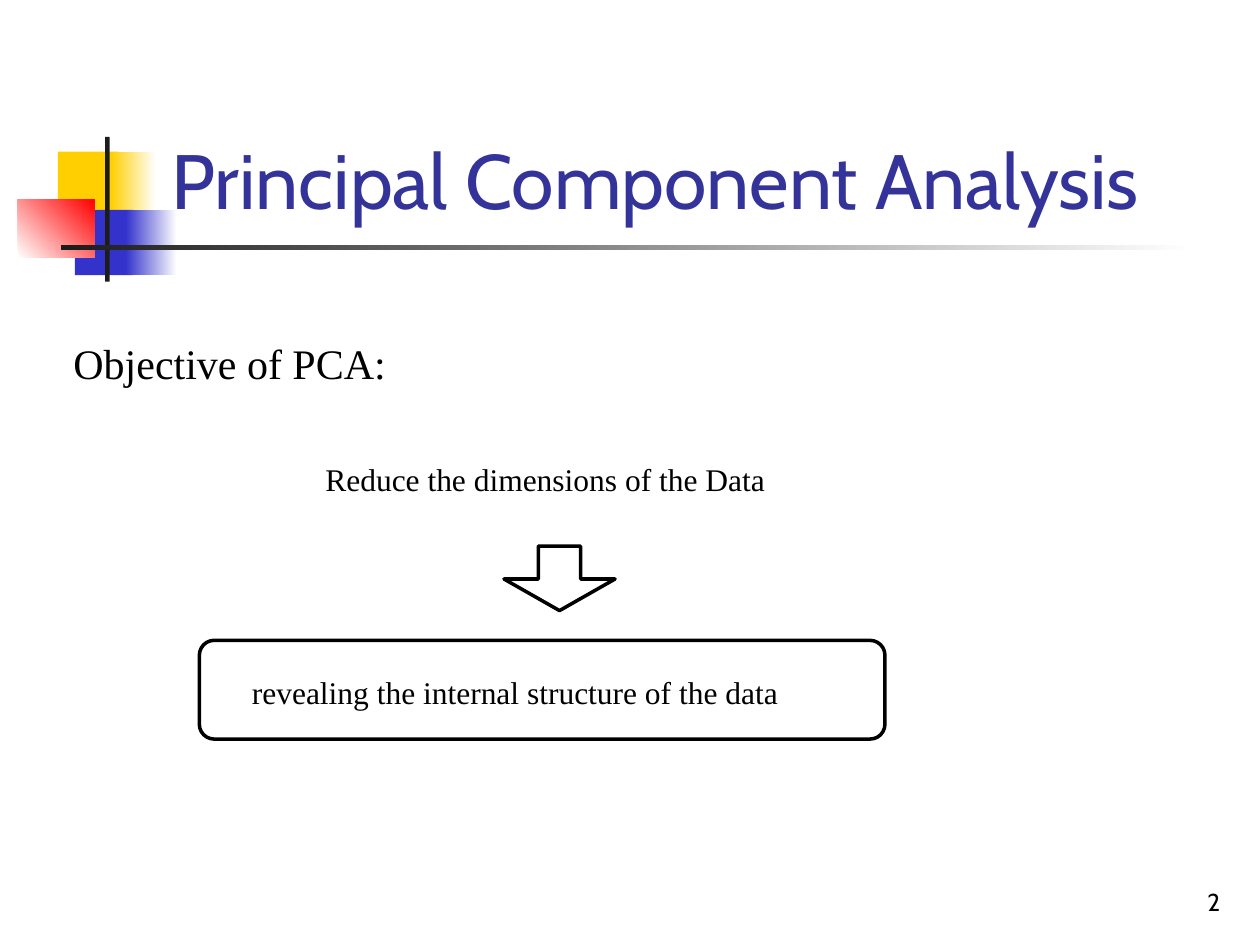
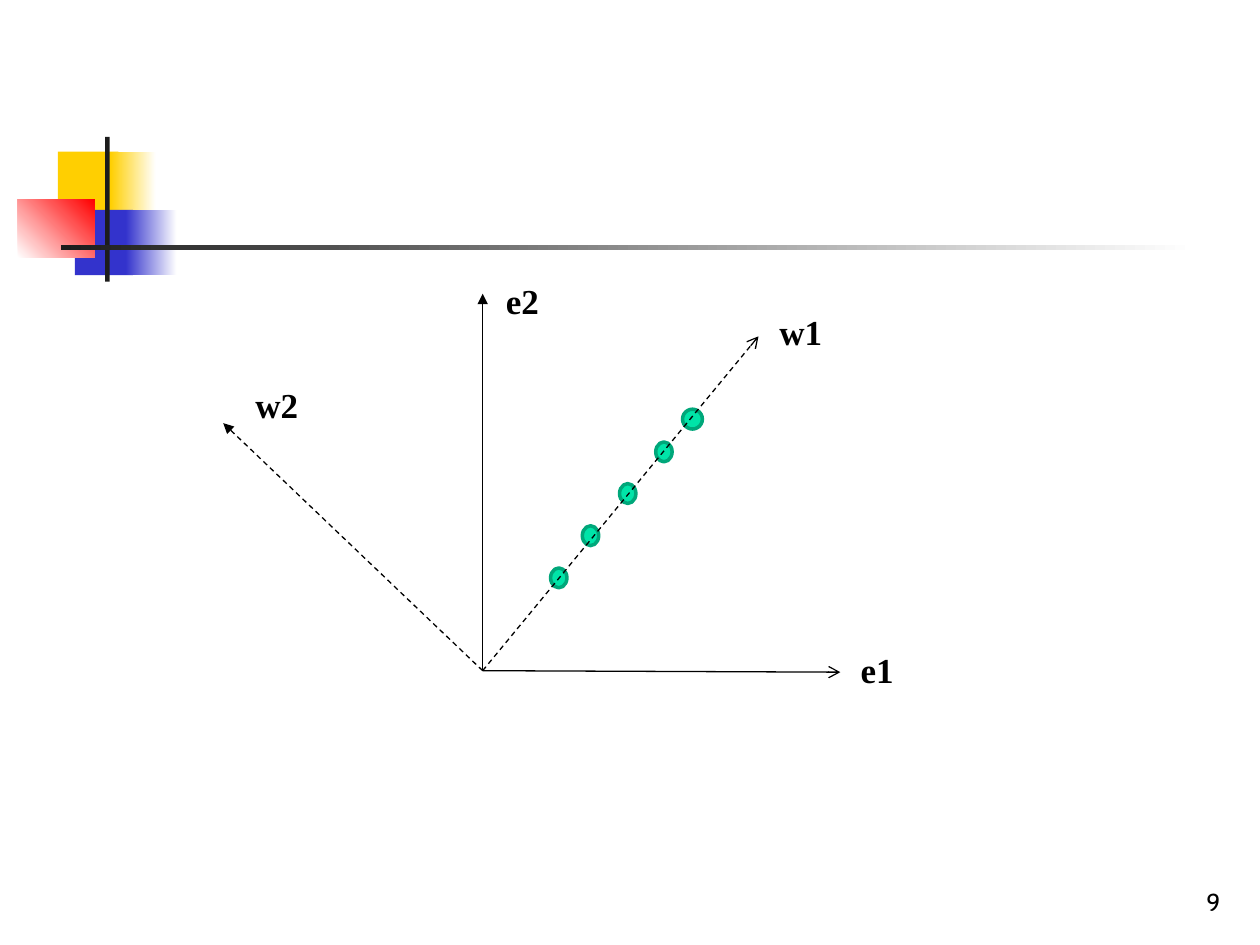
from lxml import etree
from pptx import Presentation
from pptx.dml.color import RGBColor
from pptx.enum.dml import MSO_LINE
from pptx.enum.shapes import MSO_CONNECTOR, MSO_SHAPE
from pptx.enum.text import MSO_ANCHOR, MSO_AUTO_SIZE, PP_ALIGN
from pptx.oxml.ns import qn
from pptx.util import Cm, Pt

RECT, OVAL = MSO_SHAPE.RECTANGLE, MSO_SHAPE.OVAL
ROUNDED, DOWN_ARROW = MSO_SHAPE.ROUNDED_RECTANGLE, MSO_SHAPE.DOWN_ARROW
STRAIGHT, DASH = MSO_CONNECTOR.STRAIGHT, MSO_LINE.DASH
TOP, MIDDLE, BOTTOM = MSO_ANCHOR.TOP, MSO_ANCHOR.MIDDLE, MSO_ANCHOR.BOTTOM
LEFT, RIGHT = PP_ALIGN.LEFT, PP_ALIGN.RIGHT
NO_FIT = MSO_AUTO_SIZE.NONE

# Shared colours
BLACK = RGBColor(0x00, 0x00, 0x00)
WHITE = RGBColor(0xFF, 0xFF, 0xFF)
INK = RGBColor(0x1C, 0x1C, 0x1C)
YELLOW = RGBColor(0xFF, 0xCF, 0x01)
BLUE = RGBColor(0x33, 0x33, 0xCC)
RED = RGBColor(0xFF, 0x00, 0x00)
TITLE_BLUE = RGBColor(0x33, 0x33, 0x99)
GREEN = RGBColor(0x00, 0xE4, 0xA8)
DARK_GREEN = RGBColor(0x00, 0xA7, 0x7A)

# Shared text styles
SANS, SERIF = "Cabin", "Times New Roman"
TITLE_FONT = {"name": SANS, "size": Pt(44)}
NUMBER_FONT = {"name": SANS, "size": Pt(14)}
HEADING_FONT = {"name": SERIF, "size": Pt(24)}
STATEMENT_FONT = {"name": SERIF, "size": Pt(18)}
AXIS_FONT = {"name": SERIF, "size": Pt(20), "bold": True}
NO_INSETS = dict.fromkeys(
    ("margin_left", "margin_top", "margin_right", "margin_bottom"), 0)
CENTRED_FRAME = {"vertical_anchor": MIDDLE, "word_wrap": True, **NO_INSETS}

# Corner ornament: box in cm, fill colours from start to end, angle
ORNAMENT = [
    ((1.17, 3.06, 1.22, 1.32), [YELLOW], 0),
    ((2.23, 3.06, 0.91, 1.32), [YELLOW, WHITE], 0),
    ((1.51, 4.23, 1.17, 1.32), [BLUE], 0),
    ((2.54, 4.23, 1.02, 1.32), [BLUE, WHITE], 0),
    ((0.36, 4.02, 1.55, 1.17), [WHITE, RED], 45),
    ((2.12, 2.76, 0.09, 2.92), [INK], 0),
    ((1.23, 4.94, 22.86, 0.1), [INK, WHITE], 0),
]


def set_all(target, values):
    for key, value in values.items():
        setattr(target, key, value)


def write(frame, text, font, color=BLACK, align=LEFT):
    frame.text = text
    paragraph = frame.paragraphs[0]
    paragraph.alignment = align
    set_all(paragraph.runs[0].font, font)
    paragraph.runs[0].font.color.rgb = color


def add_text(slide, box, text, font, frame_format, align=LEFT):
    frame = slide.shapes.add_textbox(*map(Cm, box)).text_frame
    set_all(frame, frame_format)
    write(frame, text, font, align=align)


def add_figure(slide, kind, box, fill=None, line=None, adjustments=()):
    """Preset shape with an optional solid fill and 2 pt outline."""
    figure = slide.shapes.add_shape(kind, *map(Cm, box))
    figure.shadow.inherit = False
    if fill is None:
        figure.fill.background()
    else:
        figure.fill.solid()
        figure.fill.fore_color.rgb = fill
    if line is None:
        figure.line.fill.background()
    else:
        figure.line.color.rgb = line
        figure.line.width = Pt(2)
    for index, value in enumerate(adjustments):
        figure.adjustments[index] = value
    return figure


def add_vector(slide, start, end, head, dashed=False):
    vector = slide.shapes.add_connector(STRAIGHT, *map(Cm, start + end))
    vector.line.color.rgb = BLACK
    vector.line.width = Pt(0.75)
    if dashed:
        vector.line.dash_style = DASH
    properties = vector.element.spPr
    etree.SubElement(properties.find(qn("a:ln")), qn("a:tailEnd"), type=head)
    etree.SubElement(properties, qn("a:effectLst"))


def decorate_master(prs, slide):
    """Draw the ornament, then move it to the master for every slide."""
    for number, (box, colors, angle) in enumerate(ORNAMENT, start=101):
        piece = add_figure(slide, RECT, box, fill=colors[0])
        if len(colors) > 1:
            piece.fill.gradient()
            piece.fill.gradient_angle = angle
            for stop, color in zip(piece.fill.gradient_stops, colors):
                stop.color.rgb = color
        piece.element.nvSpPr.cNvPr.set("id", str(number))
        prs.slide_master.shapes.element.append(piece.element)


def add_title(slide, text):
    title = slide.shapes.title
    set_all(title, {"left": Cm(3.2), "top": Cm(0.6),
                    "width": Cm(21.64), "height": Cm(4.06)})
    set_all(title.text_frame, {"vertical_anchor": BOTTOM, "auto_size": NO_FIT})
    write(title.text_frame, text, TITLE_FONT, TITLE_BLUE)


def add_page_number(slide, number):
    add_text(slide, (19.57, 17.33, 5.28, 1.27), str(number), NUMBER_FONT,
             {"vertical_anchor": BOTTOM, "word_wrap": True}, RIGHT)


def fill_objective(slide):
    add_title(slide, "Principal Component Analysis")
    add_page_number(slide, 2)
    statements = [
        ((1.48, 6.15, 13.03, 2.34), "Objective of PCA:", HEADING_FONT),
        ((5.08, 12.91, 11.73, 2.06),
         "revealing the internal structure of the data", STATEMENT_FONT),
        ((6.56, 9.09, 11.48, 1.12),
         "Reduce the dimensions of the Data", STATEMENT_FONT),
    ]
    for box, text, font in statements:
        add_text(slide, box, text, font, CENTRED_FRAME)
    add_figure(slide, ROUNDED, (4.02, 12.91, 13.82, 1.99), line=BLACK,
               adjustments=[0.15])
    add_figure(slide, DOWN_ARROW, (10.16, 11.01, 2.24, 1.3), line=BLACK,
               adjustments=[0.38, 0.49])


def fill_axes(slide):
    add_page_number(slide, 9)
    origin = (9.73, 13.52)

    # Data points lie beneath the first principal axis
    points = [(11.1, 11.45, 0.33), (11.74, 10.6, 0.33), (12.49, 9.75, 0.33),
              (13.22, 8.91, 0.33), (13.76, 8.25, 0.4)]
    for left, top, width in points:
        add_figure(slide, OVAL, (left, top, width, 0.4), GREEN, DARK_GREEN)

    # Axes: tip, arrowhead, dashed, label and its place
    axes = [
        ((16.94, 13.55), "arrow", False, "e1", (17.1, 12.95)),
        ((15.29, 6.78), "arrow", True, "w1", (15.46, 6.14)),
        ((9.73, 5.92), "triangle", False, "e2", (9.95, 5.51)),
        ((4.5, 8.53), "triangle", True, "w2", (4.9, 7.6)),
    ]
    for tip, head, dashed, label, place in axes:
        add_vector(slide, origin, tip, head, dashed)
        add_text(slide, place + (1.6, 1.12), label, AXIS_FONT,
                 {"vertical_anchor": TOP, "word_wrap": True})


def main():
    prs = Presentation()
    prs.slide_width, prs.slide_height = Cm(25.4), Cm(19.05)
    title_only, blank = prs.slide_layouts[5], prs.slide_layouts[6]

    objective = prs.slides.add_slide(title_only)
    decorate_master(prs, objective)
    fill_objective(objective)
    fill_axes(prs.slides.add_slide(blank))
    prs.save("out.pptx")


if __name__ == "__main__":
    main()
